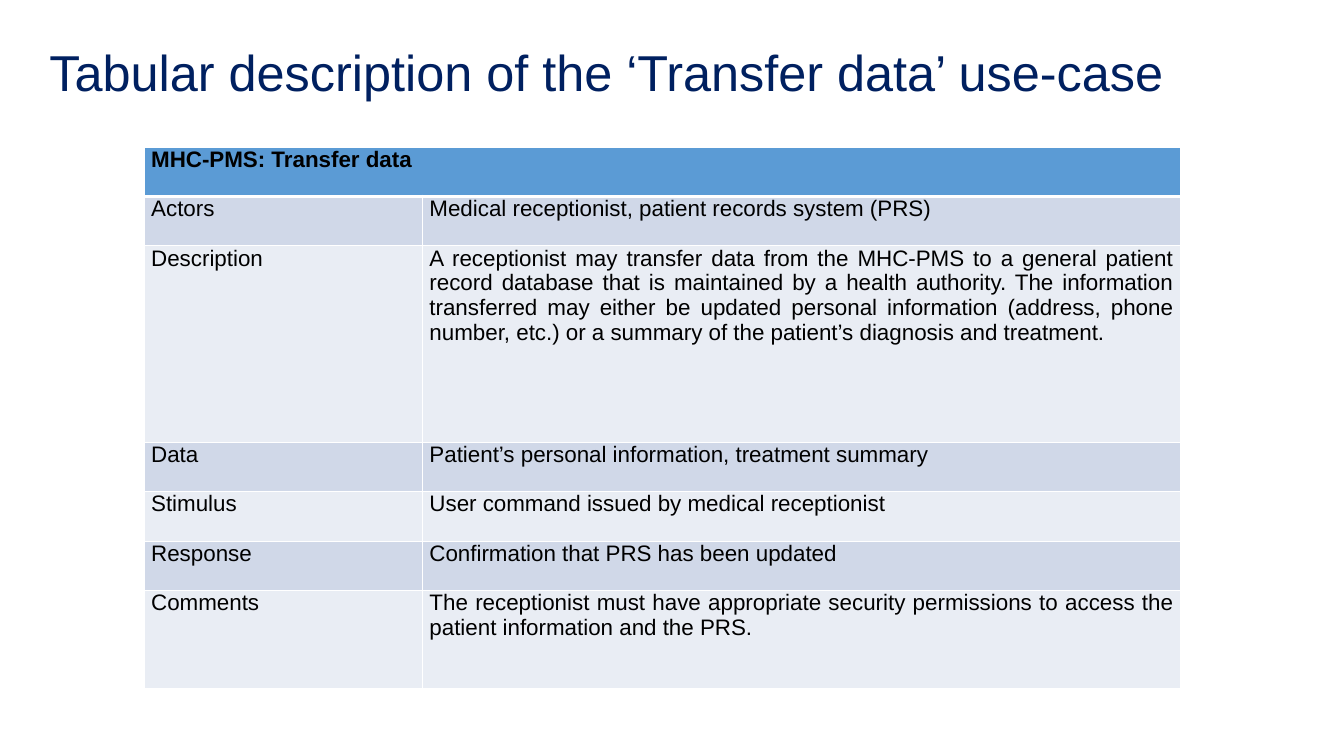
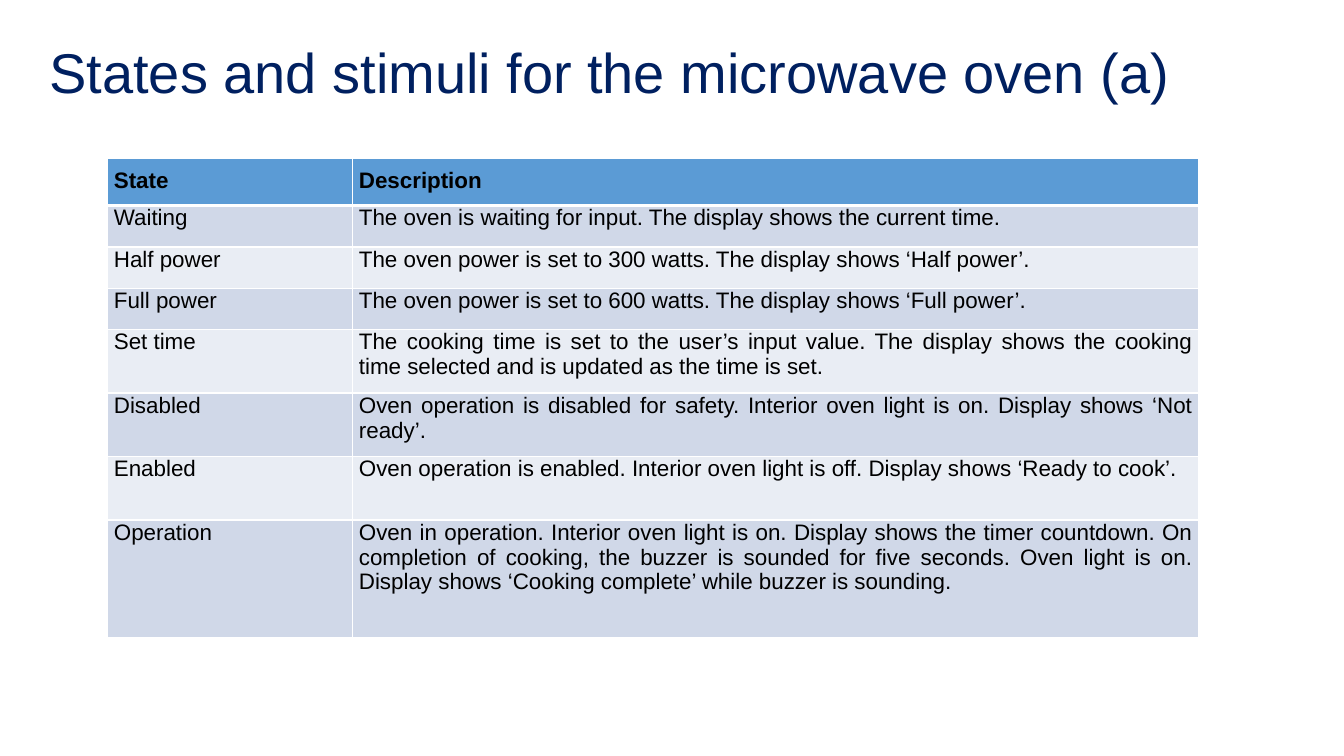
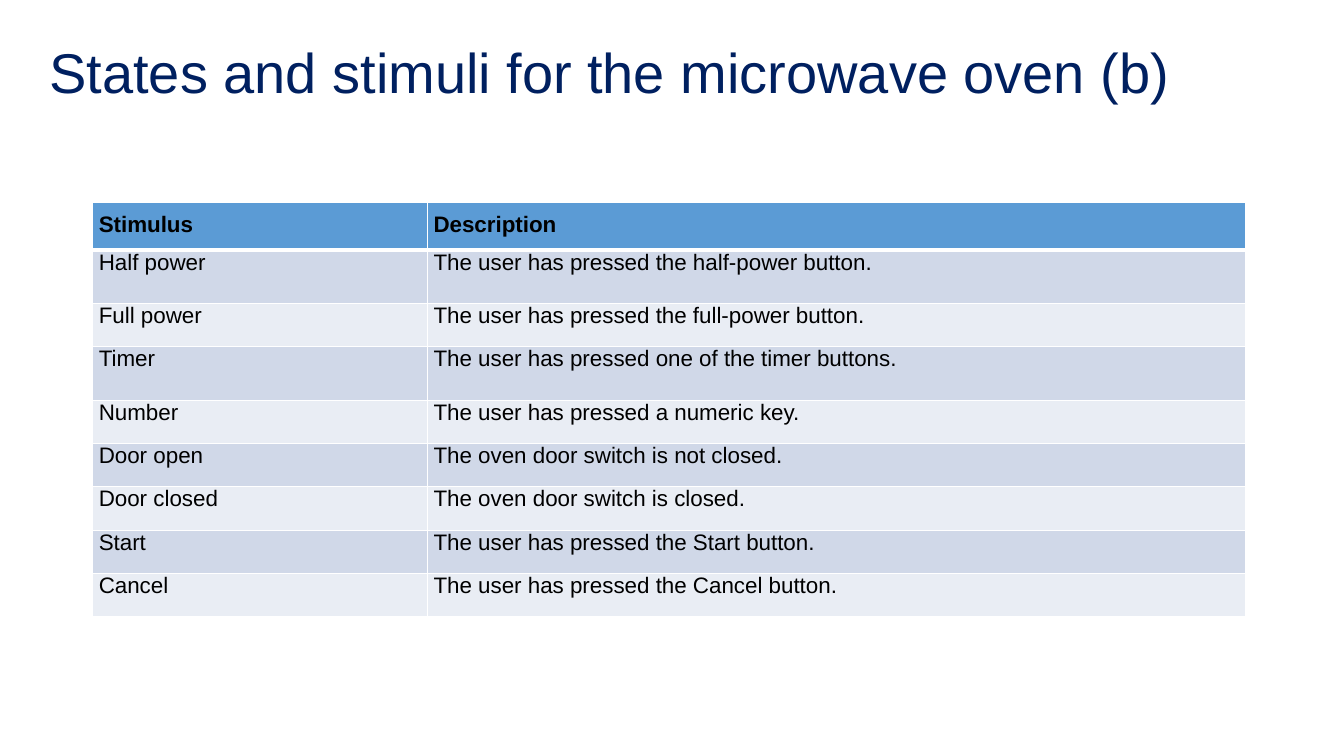
from lxml import etree
from pptx import Presentation
from pptx.dml.color import RGBColor
from pptx.enum.text import MSO_ANCHOR, MSO_AUTO_SIZE, PP_ALIGN
from pptx.oxml.ns import qn
from pptx.util import Pt

LEFT, JUSTIFY = PP_ALIGN.LEFT, PP_ALIGN.JUSTIFY
TOP, MIDDLE = MSO_ANCHOR.TOP, MSO_ANCHOR.MIDDLE
NO_FIT = MSO_AUTO_SIZE.NONE
TITLE_ONLY = 5

PX = 9144  # 100 px to the inch
COLORS = {
    "title": "002060", "text": "000000", "border": "FFFFFF",
    "header": "5B9BD5", "odd": "D0D8E8", "even": "E9EDF4",
}
TITLE_BOX = (39, 29, 1150, 91)


class Deck:
    """Holds the shared style and the current slide."""

    font = "Arial"
    text_size = 16

    def __init__(self):
        self.prs = Presentation()
        self.prs.slide_width, self.prs.slide_height = 1333 * PX, 750 * PX
        self.s = None

    def format_text(self, p, text, size, color, align, bold=False, spacing=1.0):
        for name, value in {"alignment": align, "line_spacing": spacing}.items():
            setattr(p, name, value)
        r = p.add_run()
        r.text = text
        formats = {"name": self.font, "size": Pt(size), "bold": bold}
        for name, value in formats.items():
            setattr(r.font, name, value)
        r.font.color.rgb = RGBColor.from_string(COLORS[color])

    def slide(self, title, size=40):
        self.s = self.prs.slides.add_slide(self.prs.slide_layouts[TITLE_ONLY])
        sp = self.s.shapes.title
        for name, value in zip(("left", "top", "width", "height"), TITLE_BOX):
            setattr(sp, name, value * PX)
        tf = sp.text_frame
        formats = {"word_wrap": True, "auto_size": NO_FIT, "vertical_anchor": MIDDLE}
        for name, value in formats.items():
            setattr(tf, name, value)
        self.format_text(tf.paragraphs[0], title, size, "title", LEFT, spacing=0.9)

    def borders(self, cell, widths):
        tc_pr = cell._tc.get_or_add_tcPr()
        for side, width in widths.items():
            ln = etree.SubElement(tc_pr, qn("a:ln" + side), w=str(Pt(width)))
            fill = etree.SubElement(ln, qn("a:solidFill"))
            etree.SubElement(fill, qn("a:srgbClr"), val=COLORS["border"])

    def table(self, left, top, cols, heights, rows, side, header_pad=0, bottom_pad=0):
        frame = self.s.shapes.add_table(
            len(rows), len(cols), left * PX, top * PX, sum(cols) * PX, sum(heights) * PX)
        table = frame.table
        for column, width in zip(table.columns, cols):
            column.width = width * PX
        for i, (row, height, texts) in enumerate(zip(table.rows, heights, rows)):
            row.height = height * PX
            header = i == 0
            fill = "header" if header else "odd" if i % 2 else "even"
            formats = {
                "margin_left": side * PX, "margin_right": side * PX,
                "margin_top": (header_pad if header else 0) * PX,
                "margin_bottom": (header_pad if header else bottom_pad) * PX,
                "vertical_anchor": TOP,
            }
            # A thicker line parts the header from the body
            widths = {"L": 1, "R": 1, "T": 3 if i == 1 else 1, "B": 3 if header else 1}
            for cell in row.cells:
                for name, value in formats.items():
                    setattr(cell, name, value)
                self.borders(cell, widths)
                cell.fill.solid()
                cell.fill.fore_color.rgb = RGBColor.from_string(COLORS[fill])
            # A row with a single text spans the table
            if len(texts) < len(cols):
                row.cells[0].merge(row.cells[len(cols) - 1])
            for cell, text in zip(row.cells, texts):
                self.format_text(cell.text_frame.paragraphs[0], text,
                                 self.text_size, "text", JUSTIFY, bold=header)


def main():
    deck = Deck()

    # Use-case description
    deck.slide("Tabular description of the ‘Transfer data’ use-case", size=36)
    deck.table(143, 146, (276, 752), (49, 49, 195, 49, 49, 49, 97), [
        ("MHC-PMS: Transfer data",),
        ("Actors", "Medical receptionist, patient records system (PRS)"),
        ("Description",
         "A receptionist may transfer data from the MHC-PMS to a general patient record "
         "database that is maintained by a health authority. The information transferred "
         "may either be updated personal information (address, phone number, etc.) or a "
         "summary of the patient’s diagnosis and treatment."),
        ("Data", "Patient’s personal information, treatment summary"),
        ("Stimulus", "User command issued by medical receptionist"),
        ("Response", "Confirmation that PRS has been updated"),
        ("Comments",
         "The receptionist must have appropriate security permissions to access the "
         "patient information and the PRS."),
    ], side=7)

    # Oven states
    deck.slide("States and stimuli for the microwave oven (a)")
    deck.table(107, 157, (243, 839), (47, 41, 41, 41, 63, 63, 63, 117), [
        ("State", "Description"),
        ("Waiting", "The oven is waiting for input. The display shows the current time."),
        ("Half power", "The oven power is set to 300 watts. The display shows ‘Half power’."),
        ("Full power", "The oven power is set to 600 watts. The display shows ‘Full power’."),
        ("Set time",
         "The cooking time is set to the user’s input value. The display shows the "
         "cooking time selected and is updated as the time is set."),
        ("Disabled",
         "Oven operation is disabled for safety. Interior oven light is on. Display "
         "shows ‘Not ready’."),
        ("Enabled",
         "Oven operation is enabled. Interior oven light is off. Display shows ‘Ready "
         "to cook’."),
        ("Operation",
         "Oven in operation. Interior oven light is on. Display shows the timer "
         "countdown. On completion of cooking, the buzzer is sounded for five seconds. "
         "Oven light is on. Display shows ‘Cooking complete’ while buzzer is sounding."),
    ], side=6, header_pad=10, bottom_pad=10)

    # Oven stimuli
    deck.slide("States and stimuli for the microwave oven (b)")
    deck.table(92, 201, (332, 811), (47, 53, 43, 53, 43, 43, 43, 43, 43), [
        ("Stimulus", "Description"),
        ("Half power", "The user has pressed the half-power button."),
        ("Full power", "The user has pressed the full-power button."),
        ("Timer", "The user has pressed one of the timer buttons."),
        ("Number", "The user has pressed a numeric key."),
        ("Door open", "The oven door switch is not closed."),
        ("Door closed", "The oven door switch is closed."),
        ("Start", "The user has pressed the Start button."),
        ("Cancel", "The user has pressed the Cancel button."),
    ], side=6, header_pad=10, bottom_pad=10)

    deck.prs.save("out.pptx")


if __name__ == "__main__":
    main()
